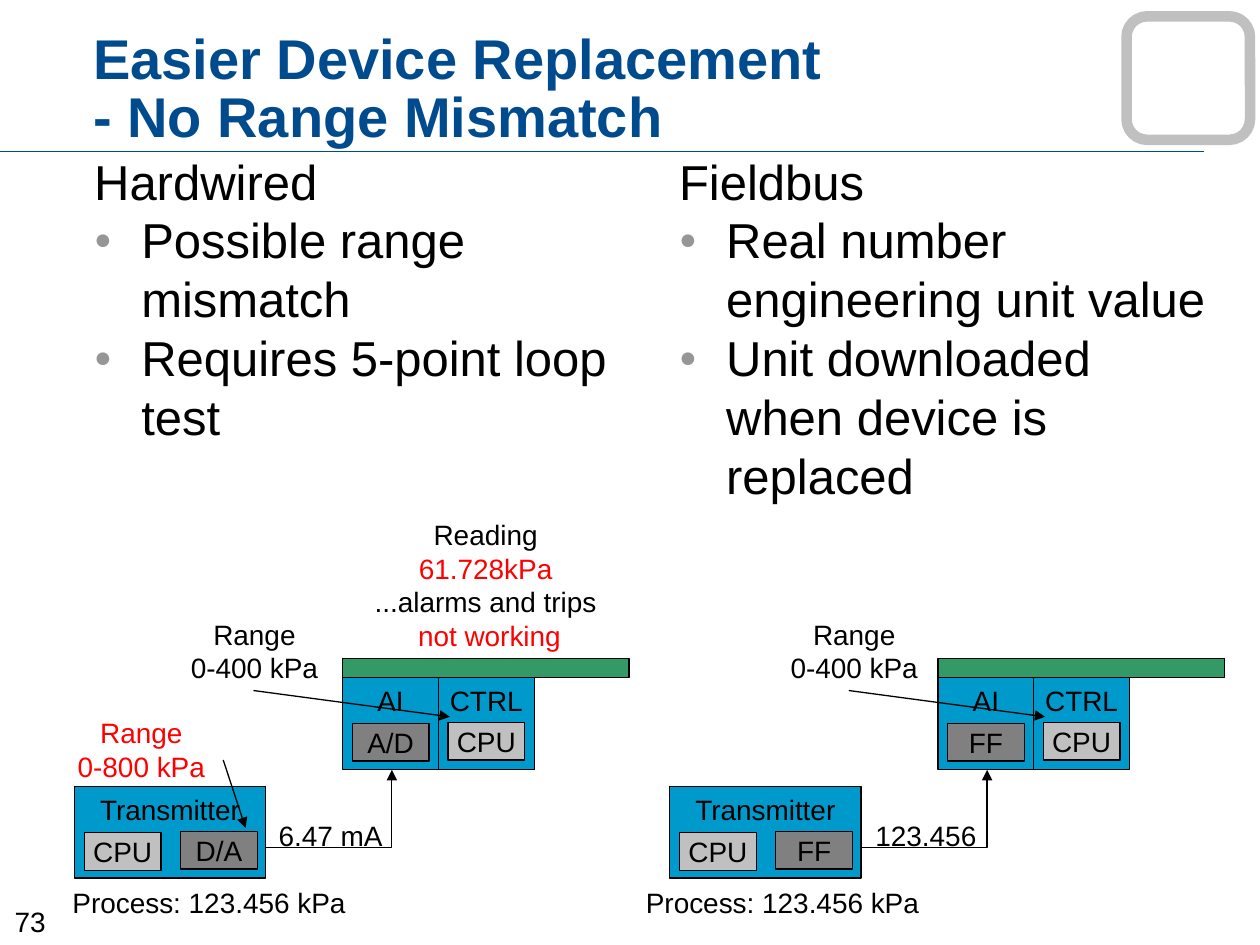
"""Build the slide comparing device replacement on hardwired and fieldbus loops."""
import pptx
import pptx.dml.color
import pptx.enum.shapes
import pptx.enum.text
import pptx.oxml
import pptx.oxml.ns
import pptx.util

Cm = pptx.util.Cm
RGBColor = pptx.dml.color.RGBColor
Align = pptx.enum.text.PP_ALIGN
Anchor = pptx.enum.text.MSO_ANCHOR
Shape = pptx.enum.shapes.MSO_SHAPE

BLACK = RGBColor(0x00, 0x00, 0x00)
RED = RGBColor(0xFF, 0x00, 0x00)
NAVY = RGBColor(0x00, 0x4B, 0x8D)
BLUE = RGBColor(0x00, 0x99, 0xCC)
GREEN = RGBColor(0x33, 0x99, 0x66)
SILVER = RGBColor(0xC0, 0xC0, 0xC0)
GRAY = RGBColor(0x80, 0x80, 0x80)
BULLET = RGBColor(0x96, 0x96, 0x96)
NAMESPACE = pptx.oxml.ns.nsdecls("a")

deck = pptx.Presentation()
deck.slide_width, deck.slide_height = Cm(25.4), Cm(19.05)
page = deck.slides.add_slide(deck.slide_layouts[6])


def add_label(left, top, width, height, lines, fill=None, anchor=Anchor.TOP):
    """Add centred 16-point lines, in a filled rectangle if a fill is given."""
    area = [Cm(length) for length in (left, top, width, height)]
    if fill is None:
        box = page.shapes.add_textbox(*area)
    else:
        box = page.shapes.add_shape(Shape.RECTANGLE, *area)
        box.shadow.inherit = False
        box.fill.solid()
        box.fill.fore_color.rgb = fill
        box.line.color.rgb = BLACK
        box.line.width = pptx.util.Pt(0.75)
    frame = box.text_frame
    frame.word_wrap = False
    frame.vertical_anchor = anchor
    for index, (text, color) in enumerate(lines):
        para = frame.add_paragraph() if index else frame.paragraphs[0]
        para.alignment = Align.CENTER
        span = para.add_run()
        span.text = text
        span.font.name = "Arial"
        span.font.size = pptx.util.Pt(16)
        span.font.color.rgb = color


def add_path(points, color=BLACK, arrow=True):
    """Add a straight connector, or an open outline through more points."""
    spots = [(Cm(x), Cm(y)) for x, y in points]
    if len(spots) == 2:
        path = page.shapes.add_connector(
            pptx.enum.shapes.MSO_CONNECTOR.STRAIGHT, *spots[0], *spots[1])
    else:
        builder = page.shapes.build_freeform(*spots[0])
        builder.add_line_segments(spots[1:], close=False)
        path = builder.convert_to_shape()
        path.fill.background()
    path.line.color.rgb = color
    path.line.width = pptx.util.Pt(0.75)
    properties = path.element.spPr
    if arrow:
        properties.find(pptx.oxml.ns.qn("a:ln")).append(
            pptx.oxml.parse_xml(f'<a:tailEnd {NAMESPACE} type="triangle"/>'))
    properties.append(pptx.oxml.parse_xml(f"<a:effectLst {NAMESPACE}/>"))


add_label(0, 18.11, 1.22, 0.94, [("73", BLACK)])
add_path([(0, 3.05), (24.28, 3.05)], NAVY, arrow=False)

title = page.shapes.add_textbox(Cm(1.63), Cm(1.12), Cm(23.37), Cm(2))
title.text_frame.word_wrap = True
title.text_frame.vertical_anchor = Anchor.BOTTOM
para = title.text_frame.paragraphs[0]
para.line_spacing = 0.85
para.font.name = "Arial"
para.font.size = pptx.util.Pt(32)
for index, text in enumerate(["Easier Device Replacement", "- No Range Mismatch"]):
    if index:
        para.add_line_break()
    span = para.add_run()
    span.text = text
    span.font.name = "Arial"
    span.font.size = pptx.util.Pt(32)
    span.font.bold = True
    span.font.color.rgb = NAVY

columns = [
    (1.65, ["Hardwired", "Possible range mismatch", "Requires 5-point loop test"]),
    (13.44, ["Fieldbus", "Real number engineering unit value",
             "Unit downloaded when device is replaced"]),
]
for left, texts in columns:
    body = page.shapes.add_textbox(Cm(left), Cm(2.92), Cm(11.38), Cm(5.97))
    body.text_frame.word_wrap = True
    for index, text in enumerate(texts):
        para = body.text_frame.add_paragraph() if index else body.text_frame.paragraphs[0]
        indent = para._p.get_or_add_pPr()
        indent.set("marL", str(Cm(0.95)))
        indent.set("indent", str(-Cm(0.95)))
        if index:
            for markup in (
                f'<a:buClr {NAMESPACE}><a:srgbClr val="{BULLET}"/></a:buClr>',
                f'<a:buSzPct {NAMESPACE} val="60000"/>',
                f'<a:buFont {NAMESPACE} typeface="Arial"/>',
                f'<a:buChar {NAMESPACE} char="●"/>',
            ):
                indent.append(pptx.oxml.parse_xml(markup))
        span = para.add_run()
        span.text = text
        span.font.name = "Arial"
        span.font.size = pptx.util.Pt(28)
        span.font.color.rgb = BLACK

loops = [
    (0, "A/D", "D/A", "6.47 mA", 3.58, 1.09),
    (12, "FF", "FF", "123.456", 15.67, 12.65),
]
for shift, receiver, sender, signal, range_left, process_left in loops:
    blocks = [
        (1.5, 15.85, 3.86, 1.85, "Transmitter", BLUE, Anchor.TOP),
        (1.7, 16.79, 1.55, 0.76, "CPU", SILVER, Anchor.MIDDLE),
        (3.64, 16.76, 1.55, 0.76, sender, GRAY, Anchor.MIDDLE),
        (8.84, 13.66, 1.93, 1.85, "CTRL", BLUE, Anchor.TOP),
        (9.03, 14.56, 1.55, 0.76, "CPU", SILVER, Anchor.MIDDLE),
        (6.91, 13.27, 5.77, 0.39, None, GREEN, Anchor.TOP),
        (6.91, 13.66, 1.93, 1.85, "AI", BLUE, Anchor.TOP),
        (7.1, 14.58, 1.55, 0.76, receiver, GRAY, Anchor.MIDDLE),
    ]
    for left, top, width, height, text, fill, anchor in blocks:
        lines = [(text, BLACK)] if text else []
        add_label(left + shift, top, width, height, lines, fill, anchor)
    add_label(5.28 + shift, 16.38, 2.77, 0.91, [(signal, BLACK)])
    add_path([(5.36 + shift, 17.09), (7.9 + shift, 17.09), (7.9 + shift, 15.52)])
    add_path([(5.11 + shift, 13.92), (9.07 + shift, 14.45)])
    add_label(range_left, 12.32, 3.1, 1.63, [("Range", BLACK), ("0-400 kPa", BLACK)])
    add_label(process_left, 17.73, 6.25, 0.94, [("Process: 123.456 kPa", BLACK)])

add_path([(4.5, 15.32), (4.95, 16.69)])
add_label(1.3, 14.3, 3.1, 1.63, [("Range", RED), ("0-800 kPa", RED)])
add_label(7.29, 10.31, 5, 2.97, [
    ("Reading", BLACK), ("61.728kPa", RED),
    ("...alarms and trips", BLACK), (" not working", RED)])

corner = page.shapes.add_shape(
    Shape.ROUNDED_RECTANGLE, Cm(22.71), Cm(0.33), Cm(2.49), Cm(2.49))
corner.shadow.inherit = False
corner.fill.background()
corner.line.color.rgb = SILVER
corner.line.width = pptx.util.Pt(6)

deck.save("out.pptx")
